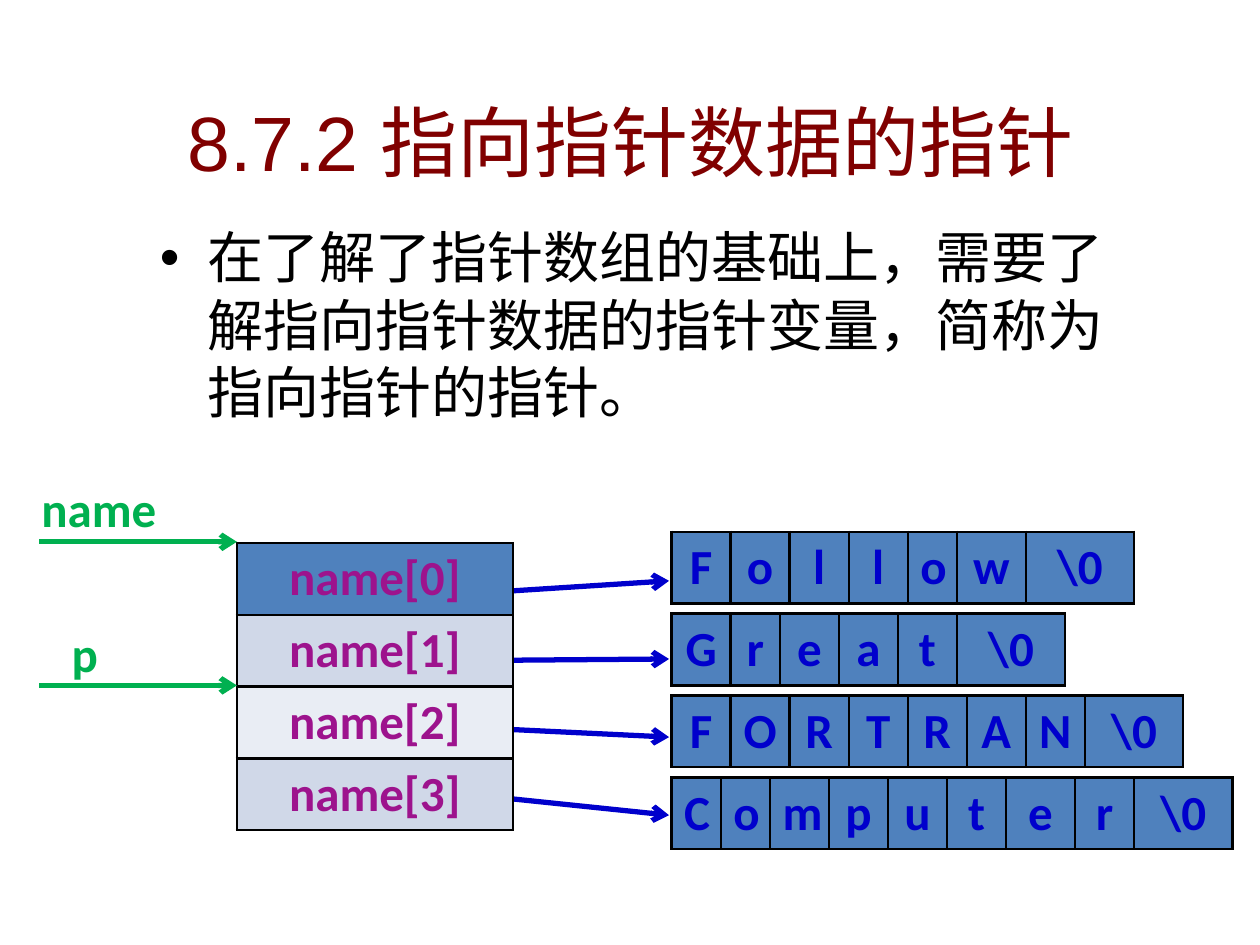
from lxml.etree import SubElement
from pptx import Presentation
from pptx.dml.color import RGBColor
from pptx.enum.shapes import MSO_CONNECTOR
from pptx.enum.text import MSO_ANCHOR, PP_ALIGN
from pptx.oxml import parse_xml
from pptx.oxml.ns import nsdecls, qn
from pptx.util import Inches, Pt

WIDTH, HEIGHT = 10, 7.5
UNIT = WIDTH / 128
ROW = 0.57
BLUE, GREEN, PURPLE, CELL = "0000CC", "00B050", "9D138D", "4F81BD"


def color(value):
    return RGBColor.from_string(value)


def write(tf, text, size=28, font="Calibri", fill="000000", bold=False,
          align=PP_ALIGN.LEFT, bullet=False):
    tf.word_wrap = True
    p = tf.paragraphs[0]
    p.alignment = align
    if bullet:
        pPr = p._p.get_or_add_pPr()
        pPr.set("marL", str(Inches(0.38)))
        pPr.set("indent", str(-Inches(0.38)))
        SubElement(pPr, qn("a:buFont"), typeface="Arial")
        SubElement(pPr, qn("a:buChar"), char="•")
    r = p.add_run()
    r.text = text
    r.font.size = Pt(size)
    r.font.name = font
    r.font.bold = bold
    r.font.color.rgb = color(fill)


def add_text(s, text, x, y, w, h, **fmt):
    sp = s.shapes.add_textbox(Inches(x), Inches(y), Inches(w), Inches(h))
    write(sp.text_frame, text, **fmt)


def add_border(cell):
    tcPr = cell._tc.get_or_add_tcPr()
    for i, side in enumerate(("lnL", "lnR", "lnT", "lnB")):
        tcPr.insert(i, parse_xml(
            f'<a:{side} {nsdecls("a")} w="{Pt(1.47)}"><a:solidFill>'
            f'<a:srgbClr val="000000"/></a:solidFill></a:{side}>'))


def add_grid(s, rows, x, y, widths, fills, text_color):
    frame = s.shapes.add_table(len(rows), len(widths), Inches(x), Inches(y),
                               Inches(sum(widths)), Inches(ROW * len(rows)))
    table = frame.table
    table.first_row = table.horz_banding = False
    for col, width in zip(table.columns, widths):
        col.width = Inches(width)
    for i, (row, fill) in enumerate(zip(rows, fills)):
        table.rows[i].height = Inches(ROW)
        for j, text in enumerate(row):
            cell = table.cell(i, j)
            cell.fill.solid()
            cell.fill.fore_color.rgb = color(fill)
            add_border(cell)
            write(cell.text_frame, text, fill=text_color, bold=True,
                  align=PP_ALIGN.CENTER)


def add_arrow(s, x1, y1, x2, y2, line_color):
    line = s.shapes.add_connector(MSO_CONNECTOR.STRAIGHT, Inches(x1),
                                  Inches(y1), Inches(x2), Inches(y2))
    line.line.width = Pt(3)
    line.line.color.rgb = color(line_color)
    SubElement(line.line._get_or_add_ln(), qn("a:tailEnd"), type="arrow")
    SubElement(line._element.spPr, qn("a:effectLst"))


def add_title(s, text):
    sp = s.shapes.title
    sp.left, sp.top = Inches(0.16), Inches(0.7)
    sp.width, sp.height = Inches(9.69), Inches(0.84)
    sp.text_frame.vertical_anchor = MSO_ANCHOR.MIDDLE
    write(sp.text_frame, text, size=44, font="Arial", fill="800000",
          align=PP_ALIGN.CENTER)


def main():
    prs = Presentation()
    prs.slide_width, prs.slide_height = Inches(WIDTH), Inches(HEIGHT)
    s = prs.slides.add_slide(prs.slide_layouts[5])

    add_title(s, "8.7.2 指向指针数据的指针")
    add_text(s, "在了解了指针数组的基础上，需要了解指向指针数据的指针变量，"
                "简称为指向指针的指针。", 1.17, 1.72, 7.97, 2.11,
             size=32, bullet=True)

    strings = [
        ("Follow", (6, 6, 6, 6, 5, 7, 11)),
        ("Great", (6, 5, 6, 6, 6, 11)),
        ("FORTRAN", (6, 6, 6, 6, 6, 6, 6, 10)),
        ("Computer", (5, 5, 6, 6, 6, 6, 7, 6, 10)),
    ]
    for i, (word, units) in enumerate(strings):
        add_grid(s, [[*word, "\\0"]], 5.33, 4.22 + 0.65 * i,
                 [UNIT * n for n in units], [CELL], BLUE)
        add_arrow(s, 4.06, 4.69 + 0.55 * i, 5.31, 4.61 + 0.62 * i, BLUE)

    names = [[f"name[{i}]"] for i in range(len(strings))]
    add_grid(s, names, 1.88, 4.31, [2.19],
             [CELL, "D0D8E8", "E9EDF4", "D0D8E8"], PURPLE)

    for text, x, y, w, arrow_y in (("name", 0.23, 3.75, 1.48, 4.3),
                                   ("p", 0.47, 4.9, 0.7, 5.44)):
        add_text(s, text, x, y, w, ROW, fill=GREEN, bold=True)
        add_arrow(s, 0.31, arrow_y, 1.88, arrow_y, GREEN)

    prs.save("out.pptx")


if __name__ == "__main__":
    main()
